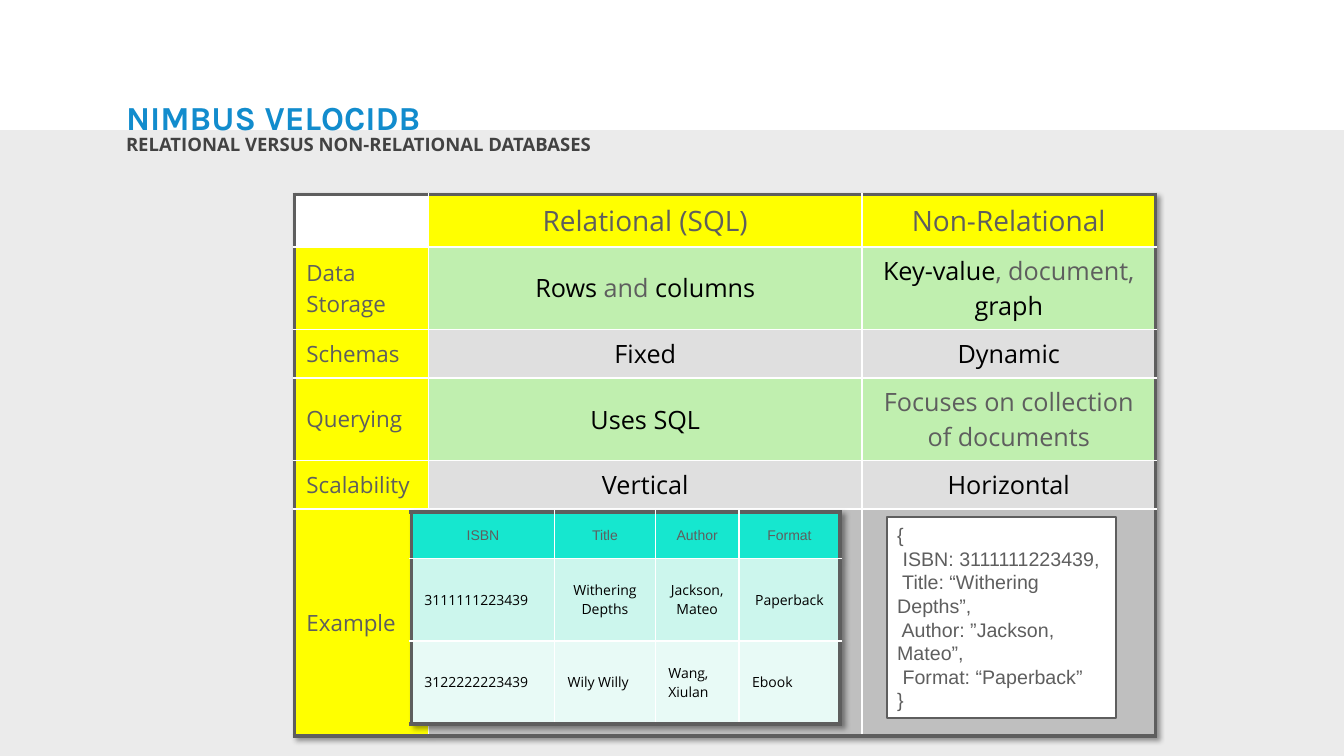
"""Builds a slide that compares relational and non-relational databases."""
from lxml import etree
from pptx import Presentation
from pptx.dml.color import RGBColor
from pptx.enum.shapes import MSO_SHAPE
from pptx.enum.text import MSO_ANCHOR, MSO_AUTO_SIZE, PP_ALIGN
from pptx.oxml import parse_xml
from pptx.oxml.ns import qn
from pptx.util import Inches, Pt

RECTANGLE = MSO_SHAPE.RECTANGLE
TOP, MIDDLE = MSO_ANCHOR.TOP, MSO_ANCHOR.MIDDLE
NO_AUTOFIT = MSO_AUTO_SIZE.NONE
LEFT, CENTER = PP_ALIGN.LEFT, PP_ALIGN.CENTER

WHITE = RGBColor(0xFF, 0xFF, 0xFF)
BLACK = RGBColor(0x00, 0x00, 0x00)
GRAY = RGBColor(0x5E, 0x5E, 0x5E)
DARK = RGBColor(0x42, 0x42, 0x42)
BLUE = RGBColor(0x12, 0x8C, 0xCD)
PANEL = RGBColor(0xEB, 0xEB, 0xEB)
YELLOW = RGBColor(0xFF, 0xFF, 0x00)
GREEN = RGBColor(0xC0, 0xEF, 0xAF)
SILVER = RGBColor(0xDF, 0xDF, 0xDF)
STEEL = RGBColor(0xBF, 0xBF, 0xBF)
TEAL = RGBColor(0x16, 0xE7, 0xCF)
MINT = RGBColor(0xCC, 0xF6, 0xED)
PALE_MINT = RGBColor(0xE8, 0xFA, 0xF6)

SHADOW = (
    '<a:effectLst xmlns:a="http://schemas.openxmlformats.org/drawingml/2006/main">'
    '<a:outerShdw blurRad="50800" dist="38100" dir="2700000" algn="tl" rotWithShape="0">'
    '<a:srgbClr val="000000"><a:alpha val="40000"/></a:srgbClr></a:outerShdw></a:effectLst>'
)


def write(para, text, font="Open Sans", size=18, color=BLACK, bold=False, align=LEFT):
    para.alignment = align
    span = para.add_run()
    span.text = text
    span.font.name = font
    span.font.size = Pt(size)
    span.font.bold = bold
    span.font.color.rgb = color


def add_grid(page, left, top, widths, heights, fills, margin):
    frame = page.shapes.add_table(
        len(heights), len(widths), Inches(left), Inches(top),
        Inches(sum(widths)), Inches(sum(heights)))
    grid = frame.table
    grid.first_row = grid.horz_banding = False
    grid._tbl.tblPr.insert(0, parse_xml(SHADOW))
    for column, width in zip(grid.columns, widths):
        column.width = Inches(width)
    for row, height in zip(grid.rows, heights):
        row.height = Inches(height)
    last_row, last_column = len(heights) - 1, len(widths) - 1
    for r, row_fills in enumerate(fills):
        for c, color in enumerate(row_fills):
            cell = grid.cell(r, c)
            cell.margin_left = cell.margin_right = Inches(margin)
            cell.margin_top = cell.margin_bottom = Inches(0.07)
            cell.vertical_anchor = MIDDLE
            properties = cell._tc.get_or_add_tcPr()
            edges = {"a:lnL": c == 0, "a:lnR": c == last_column,
                     "a:lnT": r == 0, "a:lnB": r == last_row}
            for tag, outer in edges.items():
                line = etree.SubElement(properties, qn(tag), w=str(Pt(3 if outer else 1)))
                solid = etree.SubElement(line, qn("a:solidFill"))
                etree.SubElement(solid, qn("a:srgbClr"), val=str(GRAY if outer else WHITE))
            cell.fill.solid()
            cell.fill.fore_color.rgb = color
    return grid


deck = Presentation()
deck.slide_width, deck.slide_height = Inches(13.33), Inches(7.5)
page = deck.slides.add_slide(deck.slide_layouts[1])

panel = page.shapes.add_shape(RECTANGLE, 0, Inches(1.29), Inches(13.33), Inches(6.21))
panel.shadow.inherit = False
panel.fill.solid()
panel.fill.fore_color.rgb = PANEL
panel.line.fill.background()
page.shapes._spTree.insert(2, panel._element)

headings = [
    (page.shapes.title, (1.19, 0.98, 8.75, 0.28), 0.8, "NIMBUS VELOCIDB",
     dict(font="Karla", size=24, color=BLUE, bold=True)),
    (page.placeholders[1], (1.19, 1.32, 5.34, 0.44), 0.7,
     "RELATIONAL VERSUS NON-RELATIONAL DATABASES",
     dict(size=13.2, color=DARK, bold=True)),
]
for box, place, spacing, text, style in headings:
    box.left, box.top, box.width, box.height = map(Inches, place)
    frame = box.text_frame
    frame.margin_left = frame.margin_right = Inches(0.06)
    frame.margin_top = frame.margin_bottom = Inches(0.06)
    frame.vertical_anchor = TOP
    frame.auto_size = NO_AUTOFIT
    frame.word_wrap = True
    para = frame.paragraphs[0]
    para.line_spacing = spacing
    para.space_before = Pt(0)
    properties = para._p.get_or_add_pPr()
    properties.set("marL", "0")
    properties.set("indent", "0")
    etree.SubElement(properties, qn("a:buNone"))
    write(para, text, **style)

comparison_rows = [
    ("", [("Relational (SQL)", GRAY)], [("Non-Relational", GRAY)]),
    ("Data Storage",
     [("Rows", BLACK), (" and ", GRAY), ("columns", BLACK)],
     [("Key-value", BLACK), (", document, ", GRAY), ("graph", BLACK)]),
    ("Schemas", [("Fixed", BLACK)], [("Dynamic", BLACK)]),
    ("Querying", [("Uses SQL", BLACK)], [("Focuses on collection of documents", GRAY)]),
    ("Scalability", [("Vertical", BLACK)], [("Horizontal", BLACK)]),
    ("Example", [], []),
]
comparison_fills = [[WHITE, YELLOW, YELLOW]]
comparison_fills += [[YELLOW, color, color] for color in (GREEN, SILVER, GREEN, SILVER, STEEL)]
comparison = add_grid(page, 2.92, 1.93, [1.33, 4.3, 2.91],
                      [0.52, 0.78, 0.45, 0.78, 0.45, 2.25], comparison_fills, 0.12)
for r, (label, *answers) in enumerate(comparison_rows):
    if label:
        write(comparison.cell(r, 0).text_frame.paragraphs[0], label, size=16, color=GRAY)
    for c, answer in enumerate(answers, 1):
        para = comparison.cell(r, c).text_frame.paragraphs[0]
        for text, color in answer:
            write(para, text, size=18 if r else 20, color=color, align=CENTER)

book_rows = [
    ["ISBN", "Title", "Author", "Format"],
    ["3111111223439", "Withering Depths", "Jackson, Mateo", "Paperback"],
    ["3122222223439", "Wily Willy", "Wang, Xiulan", "Ebook"],
]
books = add_grid(page, 4.08, 5.08, [1.42, 1, 0.83, 1], [0.46, 0.82, 0.82],
                 [[color] * 4 for color in (TEAL, MINT, PALE_MINT)], 0.13)
for r, row in enumerate(book_rows):
    for c, text in enumerate(row):
        centered = r == 0 or (r == 1 and c > 0)
        write(books.cell(r, c).text_frame.paragraphs[0], text, size=10,
              font="Open Sans" if r else "Arial", color=BLACK if r else GRAY,
              align=CENTER if centered else LEFT)

document = page.shapes.add_shape(RECTANGLE, Inches(8.8), Inches(5.13), Inches(2.27), Inches(1.99))
document.shadow.inherit = False
document.fill.solid()
document.fill.fore_color.rgb = WHITE
document.line.color.rgb = GRAY
document.line.width = Pt(1.5)
document.text_frame.word_wrap = True
document.text_frame.vertical_anchor = MIDDLE
document_lines = ["{", " ISBN: 3111111223439,", " Title: “Withering Depths”,",
                  " Author: ”Jackson, Mateo”,", " Format: “Paperback”", "}"]
for number, text in enumerate(document_lines):
    frame = document.text_frame
    para = frame.add_paragraph() if number else frame.paragraphs[0]
    write(para, text, font="Arial", size=14, color=GRAY)

deck.save("out.pptx")
